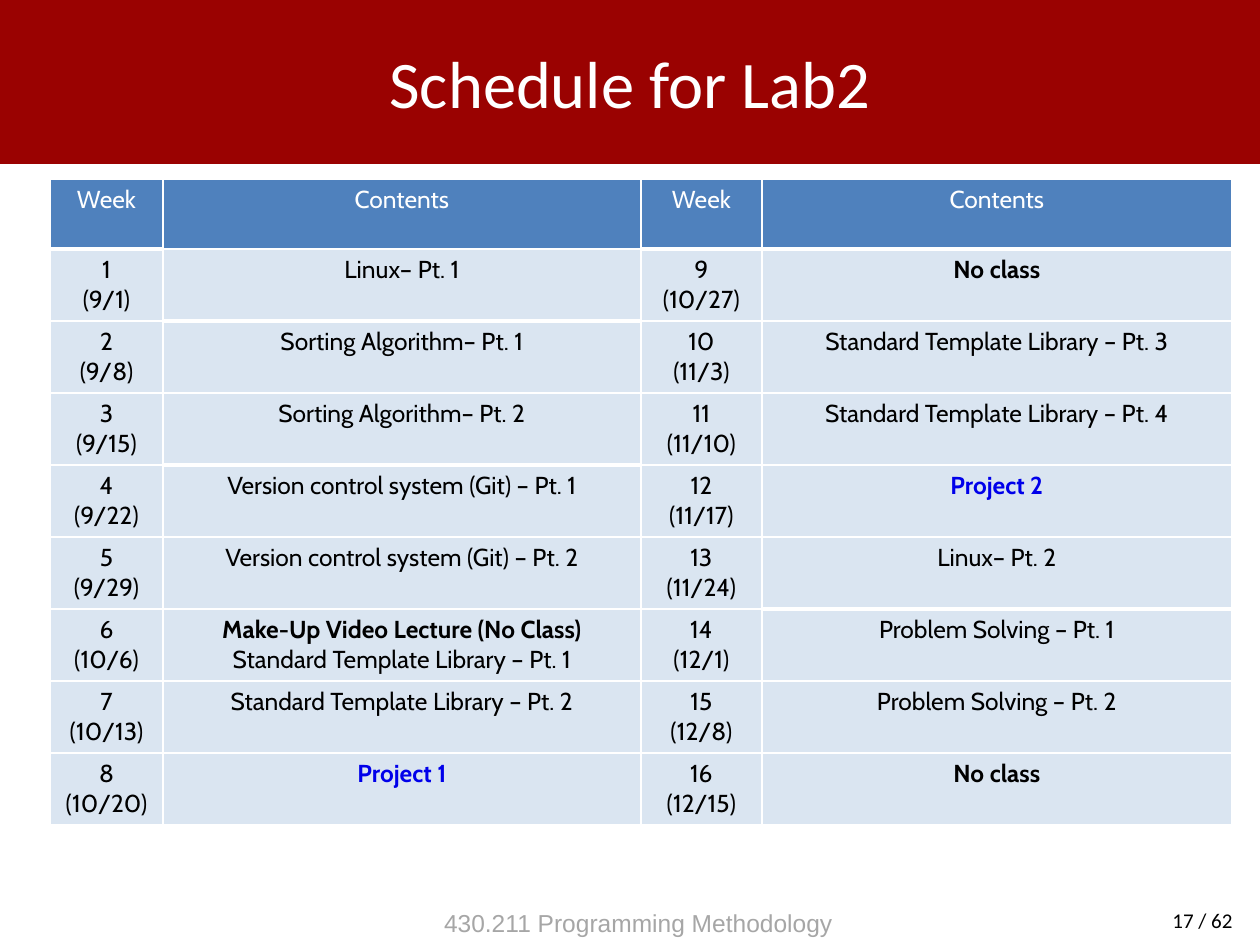
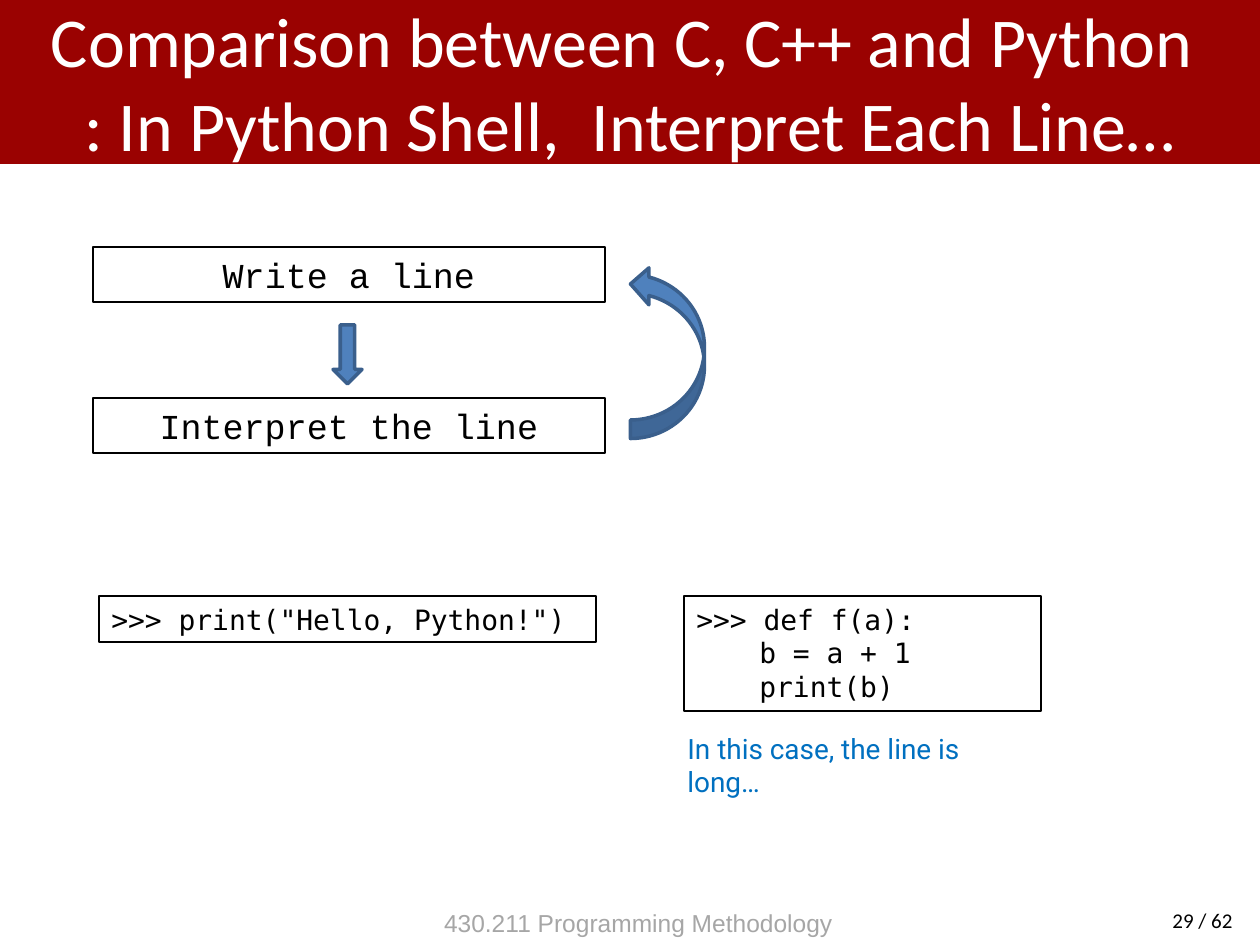
from lxml import etree
from pptx import Presentation
from pptx.dml.color import RGBColor
from pptx.enum.shapes import MSO_SHAPE
from pptx.enum.text import MSO_ANCHOR, PP_ALIGN
from pptx.oxml.ns import qn
from pptx.util import Inches, Pt

RECTANGLE = MSO_SHAPE.RECTANGLE
DOWN_ARROW = MSO_SHAPE.DOWN_ARROW
CURVED_UP_ARROW = MSO_SHAPE.CURVED_UP_ARROW
LEFT, CENTER, RIGHT = PP_ALIGN.LEFT, PP_ALIGN.CENTER, PP_ALIGN.RIGHT
TOP, MIDDLE = MSO_ANCHOR.TOP, MSO_ANCHOR.MIDDLE

PX = 7257  # EMU in one px, 126 px to the inch
WHITE, BLACK = "FFFFFF", "000000"
BAND, GRAY = "9A0201", "A6A6A6"
HEADER, CELL, PROJECT = "4F81BD", "DAE5F1", "0000EA"
ARROW_EDGE, NOTE = "3A5F8C", "0070C0"
rgb = RGBColor.from_string


def write(frame, text, font, size, color=BLACK, align=CENTER, anchor=TOP):
    frame.word_wrap = True
    frame.vertical_anchor = anchor
    frame.text = text
    for para in frame.paragraphs:
        para.alignment = align
        for span in para.runs:
            span.font.name = font
            span.font.size = Pt(size)
            span.font.color.rgb = rgb(color)


def add_box(page, kind, at, fill=None, line=None, weight=0.75):
    box = page.shapes.add_shape(kind, *(n * PX for n in at))
    box.shadow.inherit = False
    if fill:
        box.fill.solid()
        box.fill.fore_color.rgb = rgb(fill)
    else:
        box.fill.background()
    if line:
        box.line.color.rgb = rgb(line)
        box.line.width = Pt(weight)
    else:
        box.line.fill.background()
    return box


deck = Presentation()
deck.slide_width, deck.slide_height = Inches(10), Inches(7.5)

# Title band, footer and page number of each page
titles = [
    ("Schedule for Lab2", 38, "17 / 62"),
    ("Comparison between C, C++ and Python \v"
     ": In Python Shell,  Interpret Each Line…", 40, "29 / 62"),
]
for title, size, number in titles:
    page = deck.slides.add_slide(deck.slide_layouts[6])
    footer = page.shapes.add_textbox(336 * PX, 902 * PX, 605 * PX, 43 * PX)
    write(footer.text_frame, "430.211 Programming Methodology", "Arial", 14, GRAY)
    band = add_box(page, RECTANGLE, (0, 0, 1260, 164), BAND)
    write(band.text_frame, title, "Calibri", size, WHITE, anchor=MIDDLE)
    counter = page.shapes.add_textbox(961 * PX, 895 * PX, 284 * PX, 50 * PX)
    write(counter.text_frame, number, "Calibri", 12, align=RIGHT, anchor=MIDDLE)
schedule_page, shell_page = deck.slides

# Lab schedule: two halves of eight weeks side by side
schedule = [
    ("9/1", "Linux– Pt. 1"),
    ("9/8", "Sorting Algorithm– Pt. 1"),
    ("9/15", "Sorting Algorithm– Pt. 2"),
    ("9/22", "Version control system (Git) – Pt. 1"),
    ("9/29", "Version control system (Git) – Pt. 2"),
    ("10/6", "Make-Up Video Lecture (No Class)\nStandard Template Library – Pt. 1"),
    ("10/13", "Standard Template Library – Pt. 2"),
    ("10/20", "Project 1"),
    ("10/27", "No class"),
    ("11/3", "Standard Template Library – Pt. 3"),
    ("11/10", "Standard Template Library – Pt. 4"),
    ("11/17", "Project 2"),
    ("11/24", "Linux– Pt. 2"),
    ("12/1", "Problem Solving – Pt. 1"),
    ("12/8", "Problem Solving – Pt. 2"),
    ("12/15", "No class"),
]
weeks = [(f"{i}\n({date})", topic) for i, (date, topic) in enumerate(schedule, 1)]
rows = [("Week", "Contents") * 2]
rows += [first + second for first, second in zip(weeks[:8], weeks[8:])]
thick_bottoms = {(0, 0), (0, 2), (0, 3), (1, 1), (3, 1), (5, 3)}

widths = [113, 478, 121, 470]
heights = [70] + [72] * 8
table = schedule_page.shapes.add_table(
    len(rows), len(widths), 50 * PX, 179 * PX, sum(widths) * PX, sum(heights) * PX).table
table.horz_banding = False
for column, width in zip(table.columns, widths):
    column.width = width * PX
for row, height in zip(table.rows, heights):
    row.height = height * PX

for r, texts in enumerate(rows):
    for c, text in enumerate(texts):
        cell = table.cell(r, c)
        write(cell.text_frame, text, "Cabin", 14, BLACK if r else WHITE)
        for para in cell.text_frame.paragraphs:
            font = para.runs[0].font
            font.bold = para.text.startswith(("Project", "No class", "Make-Up"))
            if para.text.startswith("Project"):
                font.color.rgb = rgb(PROJECT)
        # White borders, thick under the header and a few cells
        borders = {"L": 1, "R": 1,
                   "T": 3 if (r - 1, c) in thick_bottoms else 1,
                   "B": 3 if (r, c) in thick_bottoms else 1}
        properties = cell._tc.get_or_add_tcPr()
        for side, weight in borders.items():
            edge = etree.SubElement(properties, qn(f"a:ln{side}"), w=str(Pt(weight)))
            paint = etree.SubElement(edge, qn("a:solidFill"))
            etree.SubElement(paint, qn("a:srgbClr"), val=WHITE)
        cell.fill.solid()
        cell.fill.fore_color.rgb = rgb(CELL if r else HEADER)

# Loop of the shell: write, interpret, write again
for top, step in [(247, "Write a line"), (398, "Interpret the line")]:
    box = add_box(shell_page, RECTANGLE, (93, top, 512, 55), line=BLACK)
    write(box.text_frame, step, "Courier New", 20)
back_arrow = add_box(shell_page, CURVED_UP_ARROW, (581, 315, 173, 74), HEADER, ARROW_EDGE, 2)
back_arrow.rotation = 270
add_box(shell_page, DOWN_ARROW, (333, 325, 29, 59), HEADER, ARROW_EDGE, 2)

# Code examples, with tab stops for the indented lines
examples = [
    ((99, 596, 497, 46), '>>> print("Hello, Python!")'),
    ((684, 596, 357, 115), ">>> def f(a):\n\tb = a + 1\n\tprint(b)"),
]
for at, code in examples:
    box = add_box(shell_page, RECTANGLE, at, line=BLACK)
    write(box.text_frame, code, "DejaVu Sans Mono", 16, align=LEFT)
    for para in box.text_frame.paragraphs:
        if para.text.startswith("\t"):
            stops = etree.SubElement(para._p.get_or_add_pPr(), qn("a:tabLst"))
            etree.SubElement(stops, qn("a:tab"), pos=str(63 * PX), algn="l")

# Remark below the longer example
remark = shell_page.shapes.add_textbox(675 * PX, 725 * PX, 370 * PX, 47 * PX)
write(remark.text_frame, "In this case, the line is long…", "Roboto", 16, NOTE, LEFT)

deck.save("out.pptx")
